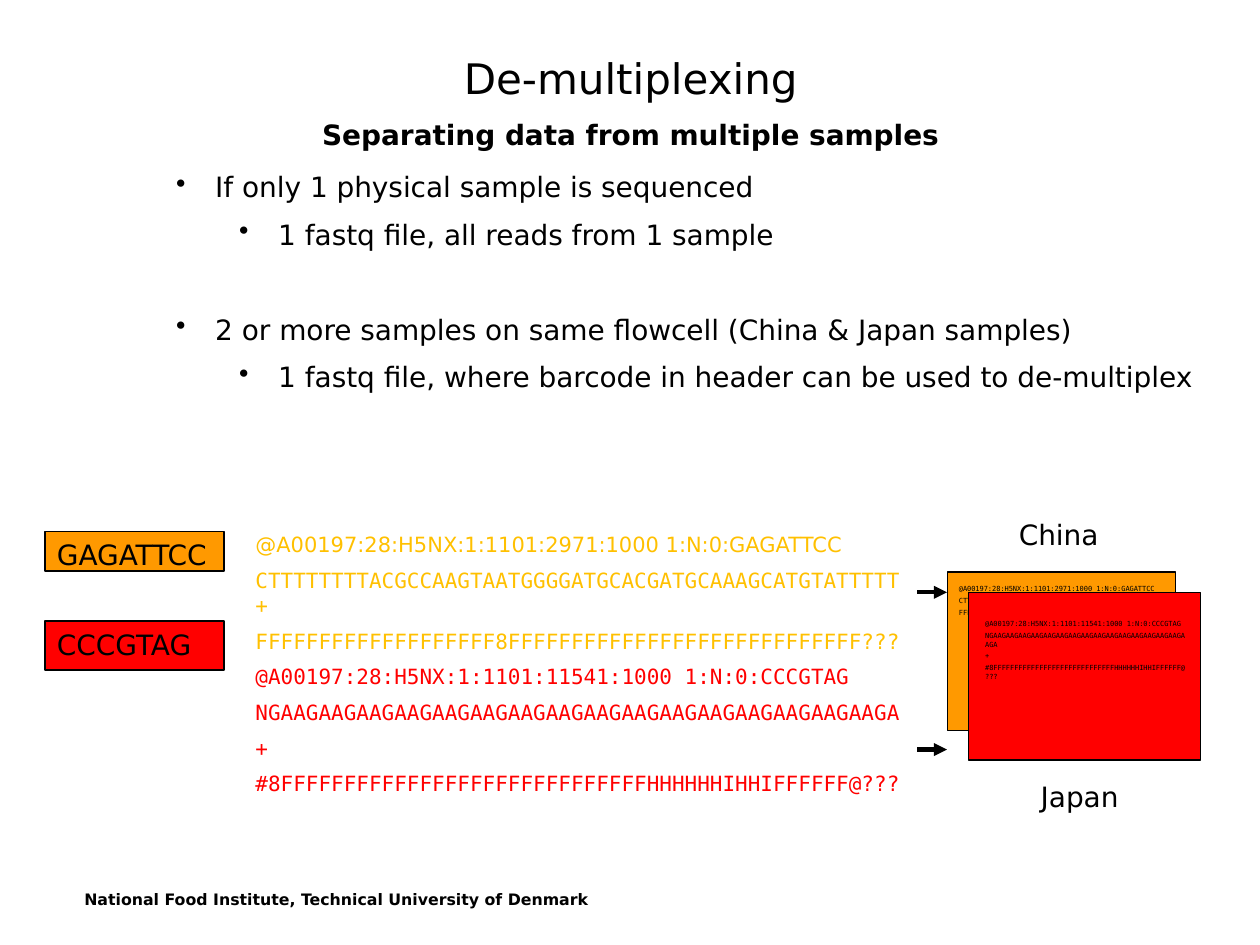
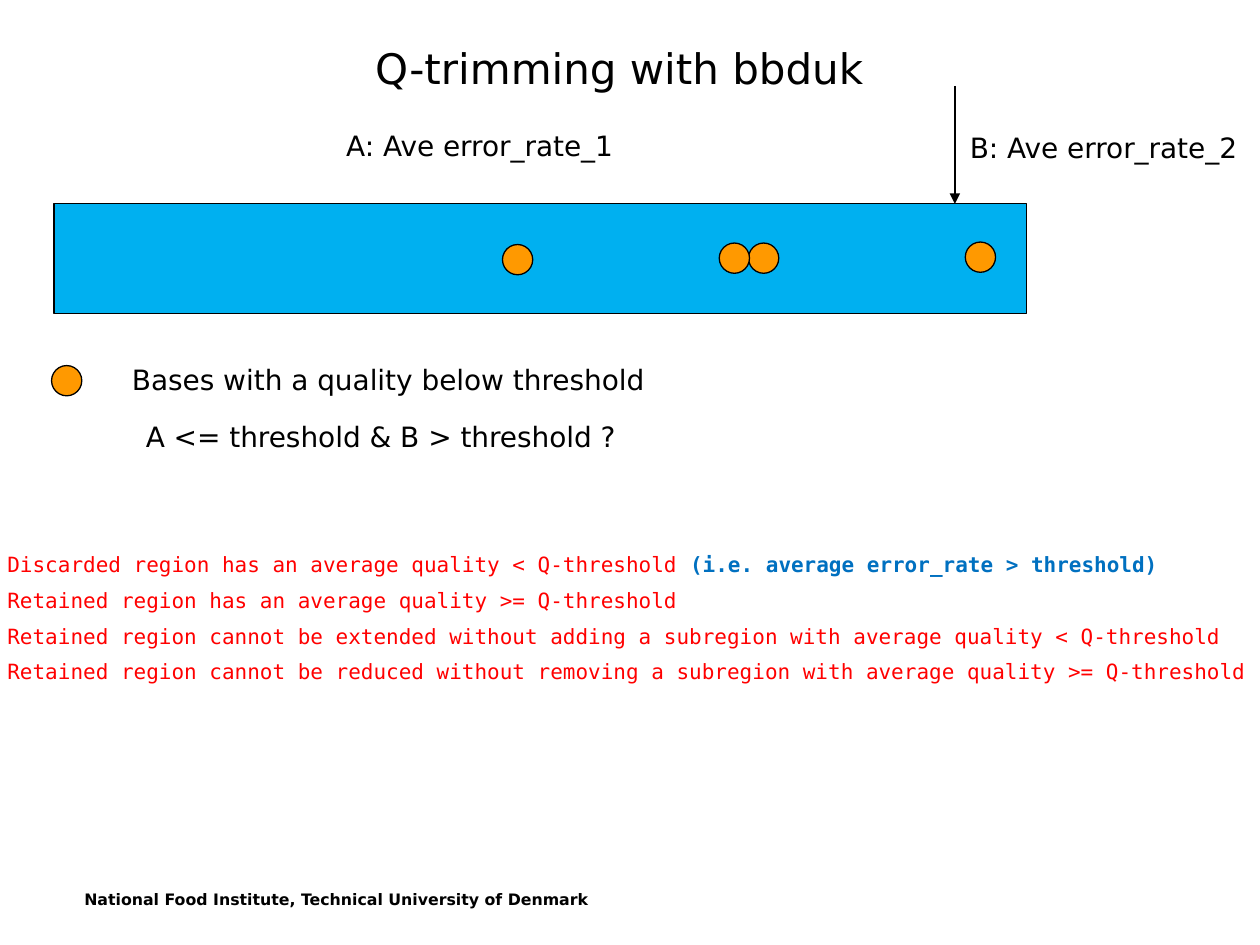
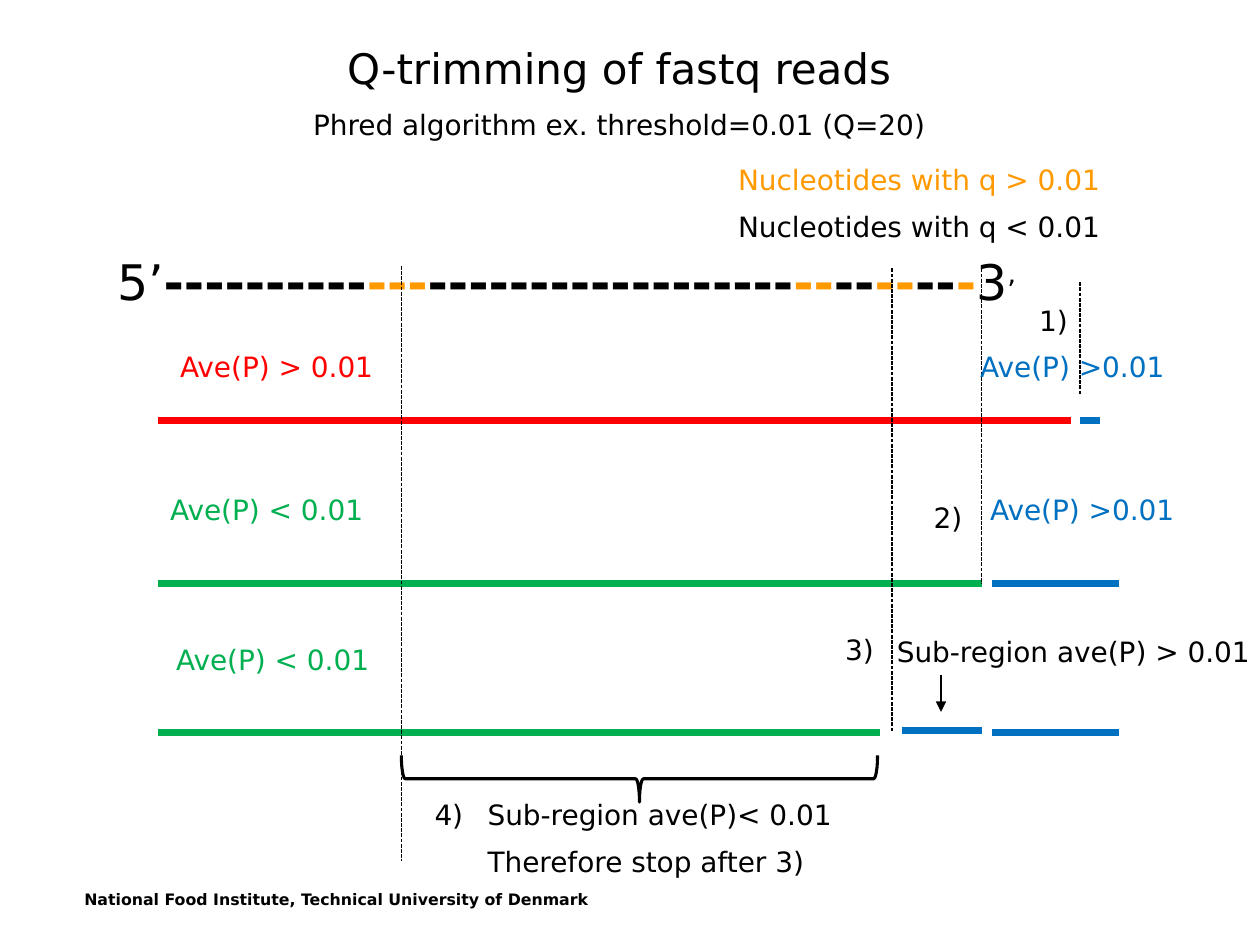
from dataclasses import dataclass

from lxml.etree import SubElement
from pptx import Presentation
from pptx.dml.color import RGBColor
from pptx.enum.dml import MSO_LINE_DASH_STYLE as Dash
from pptx.enum.shapes import MSO_CONNECTOR as Connector, MSO_SHAPE as Preset
from pptx.enum.text import PP_ALIGN as Align
from pptx.oxml.ns import qn
from pptx.util import Cm, Pt


@dataclass(frozen=True)
class Theme:
    sans: str = "DejaVu Sans"
    mono: str = "DejaVu Sans Mono"
    black: str = "000000"
    white: str = "FFFFFF"
    orange: str = "FF9900"
    amber: str = "FFC000"
    red: str = "FF0000"
    green: str = "00B050"
    blue: str = "0070C0"
    sky: str = "00B0F0"
    title: int = 24
    body: int = 16
    code: int = 12
    tiny: int = 4
    strand: int = 28
    footer: int = 9
    thin: float = 0.75
    arrow: float = 2.5
    brace: float = 1.75
    bar: float = 4


THEME = Theme()
FOOTER = "National Food Institute, Technical University of Denmark"
ROW = 0.94  # height of a one-line label


def rgb(value):
    return RGBColor.from_string(value)


class Painter:
    """Holds the style and the current slide."""

    def __init__(self, deck, theme):
        self.deck, self.theme = deck, theme
        self.page = None

    def new_page(self, title, left=3.91, top=0.74, subtitle=None, subtitle_bold=False):
        self.page = self.deck.slides.add_slide(self.deck.slide_layouts[6])
        footer = self.text((1.7, 17.93, 10.26, 0.84), FOOTER, size=self.theme.footer, bold=True)
        frame = footer.text_frame
        for side in ("left", "top", "right", "bottom"):
            setattr(frame, f"margin_{side}", 0)
        lines = [[(title, {"size": self.theme.title})]]
        if subtitle:
            lines.append([(subtitle, {"bold": subtitle_bold})])
        self.text((left, top, 17.15, 1.27 * len(lines)), *lines, align=Align.CENTER)

    def text(self, place, *lines, align=Align.LEFT, **style):
        """Each line is a string or a list of (words, style) spans."""
        box = self.page.shapes.add_textbox(*map(Cm, place))
        frame = box.text_frame
        frame.word_wrap = True
        base = {"name": self.theme.sans, "size": self.theme.body,
                "color": self.theme.black, "bold": False} | style
        for index, line in enumerate(lines):
            para = frame.add_paragraph() if index else frame.paragraphs[0]
            para.alignment = align
            spans = [(line, {})] if isinstance(line, str) else line
            if index:
                para.space_before = Pt((base | spans[0][1])["size"] / 2)
            for words, change in spans:
                self.span(para, words, base | change)
        return box

    def span(self, para, words, style):
        span = para.add_run()
        span.text = words
        values = dict(style)
        span.font.color.rgb = rgb(values.pop("color"))
        values["size"] = Pt(values["size"])
        for name, value in values.items():
            setattr(span.font, name, value)

    def bullets(self, place, items, group_gap):
        """Items are (level, words); each later top-level item opens a group."""
        box = self.text(place, *(words for _, words in items))
        for index, (para, (level, _)) in enumerate(zip(box.text_frame.paragraphs, items)):
            para.level = level
            if index and level == 0:
                para.space_before = Pt(group_gap)
            props = para._p.get_or_add_pPr()
            props.set("marL", str(Cm(0.79 + 1.27 * level)))
            props.set("indent", str(Cm(-0.79)))
            SubElement(props, qn("a:buChar")).set("char", "•")

    def shape(self, preset, place, fill, weight=None, turn=0):
        item = self.page.shapes.add_shape(preset, *map(Cm, place))
        item.shadow.inherit = False
        item.rotation = turn
        item.fill.solid()
        item.fill.fore_color.rgb = rgb(fill)
        item.line.color.rgb = rgb(self.theme.black)
        item.line.width = Pt(weight or self.theme.thin)

    def line(self, start, end, color=None, weight=None, dashed=False, arrow=False):
        item = self.page.shapes.add_connector(Connector.STRAIGHT, *map(Cm, start + end))
        item.line.color.rgb = rgb(color or self.theme.black)
        item.line.width = Pt(weight or self.theme.thin)
        if dashed:
            item.line.dash_style = Dash.SQUARE_DOT
        if arrow:
            SubElement(item.line._get_or_add_ln(), qn("a:tailEnd")).set("type", "triangle")
        SubElement(item._element.spPr, qn("a:effectLst"))


CHINA_READ = [
    "@A00197:28:H5NX:1:1101:2971:1000 1:N:0:GAGATTCC",
    "CTTTTTTTTACGCCAAGTAATGGGGATGCACGATGCAAAGCATGTATTTTT+",
    "FFFFFFFFFFFFFFFFFFF8FFFFFFFFFFFFFFFFFFFFFFFFFFFF???",
]
JAPAN_READ = [
    "@A00197:28:H5NX:1:1101:11541:1000 1:N:0:CCCGTAG",
    "NGAAGAAGAAGAAGAAGAAGAAGAAGAAGAAGAAGAAGAAGAAGAAGAAGA",
    "+",
    "#8FFFFFFFFFFFFFFFFFFFFFFFFFFFFFHHHHHHIHHIFFFFFF@???",
]


def demultiplexing(painter):
    t = painter.theme
    painter.new_page("De-multiplexing", 4.14, 0.94,
                     "Separating data from multiple samples", subtitle_bold=True)
    painter.bullets((3.3, 3.3, 21.39, 6.07), [
        (0, "If only 1 physical sample is sequenced"),
        (1, "1 fastq file, all reads from 1 sample"),
        (0, "2 or more samples on same flowcell (China & Japan samples)"),
        (1, "1 fastq file, where barcode in header can be used to de-multiplex"),
    ], group_gap=35)

    # Barcodes
    for barcode, top, height, fill in (("GAGATTCC", 10.72, 0.79, t.orange),
                                       ("CCCGTAG", 12.52, 0.99, t.red)):
        painter.shape(Preset.RECTANGLE, (0.91, top, 3.61, height), fill)
        painter.text((0.9, top, 3.61, ROW), barcode)

    # Mixed reads
    first, *rest = CHINA_READ
    painter.text((4.9, 10.59, 13.59, 6.93),
                 [(first, {"name": t.sans, "color": t.amber})],
                 *([(words, {"color": t.amber})] for words in rest),
                 *JAPAN_READ, name=t.mono, size=t.code, color=t.red)

    # One file per sample
    files = (
        (t.orange, (19.1, 11.53, 4.6, 3.2), CHINA_READ, (19.08, 11.66, 5.59, 1.96)),
        (t.red, (19.53, 11.94, 4.67, 3.38), JAPAN_READ, (19.61, 12.37, 4.6, 2.57)),
    )
    for fill, sheet, read, place in files:
        painter.shape(Preset.RECTANGLE, sheet, fill)
        painter.text(place, *read, name=t.mono, size=t.tiny)
    for y in (11.94, 15.11):
        painter.line((18.49, y), (19.09, y), weight=t.arrow, arrow=True)
    painter.text((20.29, 10.31, 2.13, ROW), "China")
    painter.text((20.73, 15.6, 2.18, ROW), "Japan")


def trimming_tool(painter):
    t = painter.theme
    painter.new_page("Q-trimming with bbduk")

    # Read with its low-quality bases, and the legend dot
    painter.shape(Preset.RECTANGLE, (1.09, 4.11, 19.61, 2.21), t.sky)
    for x, y in ((15.09, 4.9), (14.5, 4.9), (10.13, 4.93), (19.46, 4.88), (1.04, 7.37)):
        painter.shape(Preset.OVAL, (x, y, 0.61, 0.61), t.orange)
    painter.line((19.25, 1.73), (19.25, 4.11), arrow=True)

    # Labels
    for words, x, y, width in (
        ("Bases with a quality below threshold", 2.41, 7.19, 11.02),
        ("A: Ave error_rate_1", 6.73, 2.46, 6.25),
        ("B: Ave error_rate_2", 19.3, 2.51, 6.25),
        ("A <= threshold & B > threshold ?", 2.69, 8.33, 10.19),
    ):
        painter.text((x, y, width, ROW), words)

    # Rules
    painter.text(
        (-0.1, 11, 26.62, 5.13),
        [("Discarded region has an average quality < Q-threshold ", {}),
         ("(i.e. average error_rate > threshold)", {"color": t.blue, "bold": True})],
        "Retained region has an average quality >= Q-threshold",
        "Retained region cannot be extended without adding a subregion "
        "with average quality < Q-threshold",
        "Retained region cannot be reduced without removing a subregion "
        "with average quality >= Q-threshold",
        name=t.mono, size=t.code, color=t.red)


def trimming_reads(painter):
    t = painter.theme
    painter.new_page("Q-trimming of fastq reads",
                     subtitle="Phred algorithm ex. threshold=0.01 (Q=20)")
    painter.text((14.63, 3.15, 8.48, 1.96),
                 [("Nucleotides with q > 0.01", {"color": t.orange})],
                 "Nucleotides with q < 0.01")

    # Strand: good and bad nucleotides alternate
    dashes = [("-" * count, {"bold": True, "color": t.orange if index % 2 else t.black})
              for index, count in enumerate((10, 3, 18, 2, 2, 2, 2, 1))]
    painter.text((2.11, 4.95, 21.59, 1.45),
                 [("5’", {}), *dashes, ("3", {}), ("’", {"size": t.body})], size=t.strand)

    # Regions after each step
    for color, y, left, right in (
        (t.red, 8.48, 3.18, 21.59), (t.blue, 8.48, 21.77, 22.17),
        (t.green, 11.76, 3.18, 19.79), (t.blue, 11.76, 19.99, 22.56),
        (t.green, 14.76, 3.18, 17.73), (t.blue, 14.76, 19.99, 22.56),
        (t.blue, 14.73, 18.19, 19.79),
    ):
        painter.line((left, y), (right, y), color, t.bar)

    # Cut positions
    for x, top, bottom in ((21.77, 5.69, 7.95), (19.79, 5.41, 11.76),
                           (17.98, 5.41, 14.73), (8.1, 5.36, 17.35)):
        painter.line((x, top), (x, bottom), dashed=True)
    painter.line((18.97, 13.61), (18.97, 14.35), arrow=True)

    # Averages
    for words, color, x, y in (
        ("Ave(P) > 0.01", t.red, 3.38, 6.93), ("Ave(P) >0.01", t.blue, 19.51, 6.93),
        ("Ave(P) < 0.01", t.green, 3.18, 9.8), ("Ave(P) >0.01", t.blue, 19.71, 9.8),
        ("Ave(P) < 0.01", t.green, 3.3, 12.83),
    ):
        painter.text((x, y, 4.57, ROW), words, color=color)

    # Step numbers and remarks
    steps = ((20.7, 5.99), (18.57, 9.96), (16.79, 12.62), (8.51, 15.95))
    for number, (x, y) in enumerate(steps, 1):
        painter.text((x, y, 1.14, ROW), f"{number})")
    painter.text((17.83, 12.67, 7.92, ROW), "Sub-region ave(P) > 0.01")
    painter.text((9.58, 15.95, 7.72, 1.96),
                 "Sub-region ave(P)< 0.01", "Therefore stop after 3)")
    painter.shape(Preset.RIGHT_BRACE, (12.42, 10.9, 0.94, 9.6), t.white, t.brace, turn=90)


def main():
    deck = Presentation()
    deck.slide_width, deck.slide_height = Cm(25.4), Cm(19.05)
    painter = Painter(deck, THEME)
    for build in (demultiplexing, trimming_tool, trimming_reads):
        build(painter)
    deck.save("out.pptx")


if __name__ == "__main__":
    main()
